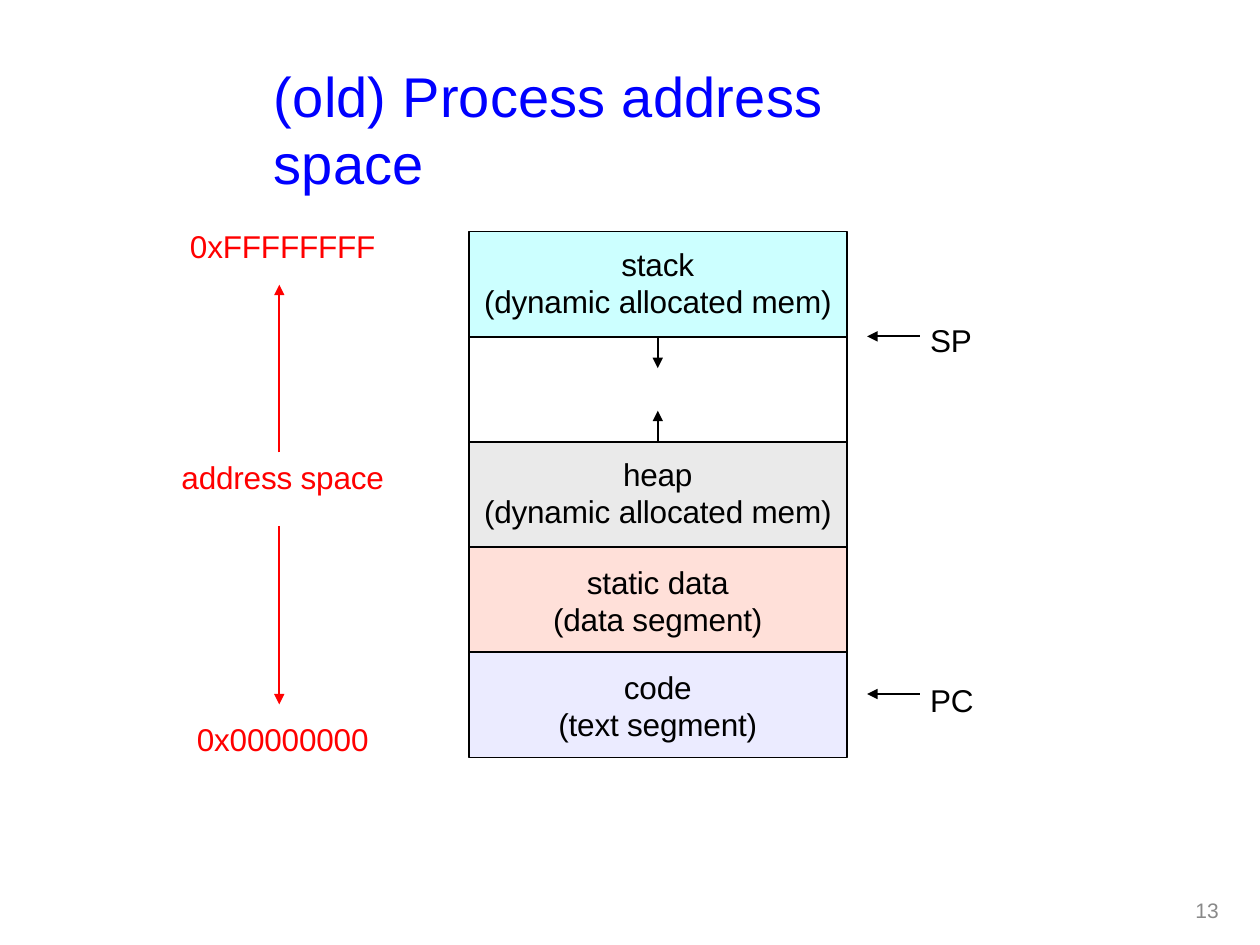
from lxml import etree
from pptx import Presentation
from pptx.dml.color import RGBColor
from pptx.enum.shapes import MSO_CONNECTOR, MSO_SHAPE
from pptx.enum.text import MSO_ANCHOR, MSO_AUTO_SIZE, PP_ALIGN
from pptx.oxml.ns import qn
from pptx.util import Cm, Pt

STRAIGHT = MSO_CONNECTOR.STRAIGHT
RECTANGLE = MSO_SHAPE.RECTANGLE
TOP = MSO_ANCHOR.TOP
NO_AUTOFIT = MSO_AUTO_SIZE.NONE
LEFT, CENTER = PP_ALIGN.LEFT, PP_ALIGN.CENTER

COLORS = {
    "title": "0000FF", "address": "FF0000", "ink": "000000", "number": "898989",
    "stack": "CCFFFF", "heap": "EAEAEA", "data": "FFE0D9", "code": "EBEBFF",
}
TITLE = "(old) Process address space"
SEGMENTS = [
    (["stack", "(dynamic allocated mem)"], "stack", 0.28),
    ([], None, 0),
    (["heap", "(dynamic allocated mem)"], "heap", 0.28),
    (["static data", "(data segment)"], "data", 0.33),
    (["code", "(text segment)"], "code", 0.33),
]
ADDRESS_LABELS = [
    ("0xFFFFFFFF", 4.55, 3.84),
    ("address space", 9.2, 4.2),
    ("0x00000000", 14.48, 3.56),
]
REGISTERS = [("SP", 6.78, 6.45), ("PC", 13.99, 13.7)]
PAGE_NUMBER = "13"

MEMORY_LEFT, MEMORY_TOP = 9.45, 4.67
MEMORY_WIDTH, SEGMENT_HEIGHT = 7.62, 2.12
MEMORY_CENTER = MEMORY_LEFT + MEMORY_WIDTH / 2
LABEL_CENTER, LABEL_HEIGHT = 5.7, 0.84
ADDRESS_X = 5.63
GROWTH_LENGTH = 0.63


def color(name):
    return RGBColor.from_string(COLORS[name])


def write(shape, lines, size=18, ink="ink", align=LEFT, spacing=-10,
          line_height=None, inset_left=0, inset_top=0.03, wrap=True):
    frame = shape.text_frame
    frame.auto_size = NO_AUTOFIT
    frame.word_wrap = wrap
    frame.vertical_anchor = TOP
    frame.margin_left, frame.margin_top = Cm(inset_left), Cm(inset_top)
    frame.margin_right = frame.margin_bottom = 0
    for index, line in enumerate(lines):
        paragraph = frame.add_paragraph() if index else frame.paragraphs[0]
        paragraph.alignment = align
        paragraph.space_before = Pt(0)
        if line_height:
            paragraph.line_spacing = Pt(line_height)
        run = paragraph.add_run()
        run.text = line
        run.font.name = "Arial"
        run.font.size = Pt(size)
        run.font.color.rgb = color(ink)
        run.font._element.set("spc", str(spacing))


def add_label(slide, text, left, top, width, height=LABEL_HEIGHT, **text_format):
    box = slide.shapes.add_textbox(Cm(left), Cm(top), Cm(width), Cm(height))
    write(box, [text], wrap=False, **text_format)


def add_segment(slide, lines, fill, top, inset):
    shape = slide.shapes.add_shape(
        RECTANGLE, Cm(MEMORY_LEFT), Cm(top), Cm(MEMORY_WIDTH), Cm(SEGMENT_HEIGHT))
    shape.shadow.inherit = False
    if fill:
        shape.fill.solid()
        shape.fill.fore_color.rgb = color(fill)
    else:
        shape.fill.background()
    shape.line.color.rgb = color("ink")
    shape.line.width = Pt(1)
    if lines:
        write(shape, lines, align=CENTER, line_height=21.2, inset_top=inset)


def add_arrow(slide, start, end, ink="ink"):
    arrow = slide.shapes.add_connector(
        STRAIGHT, *[Cm(length) for length in (*start, *end)])
    arrow.line.color.rgb = color(ink)
    arrow.line.width = Pt(1)
    etree.SubElement(arrow.line._get_or_add_ln(), qn("a:tailEnd"),
                     type="triangle", w="med", len="med")
    etree.SubElement(arrow._element.spPr, qn("a:effectLst"))


def main():
    presentation = Presentation()
    presentation.slide_width, presentation.slide_height = Cm(25.4), Cm(19.05)
    slide = presentation.slides.add_slide(presentation.slide_layouts[5])

    title = slide.shapes.title
    title.left, title.top = Cm(5.49), Cm(1.2)
    title.width, title.height = Cm(14.35), Cm(1.42)
    write(title, [TITLE], size=32, ink="title", spacing=10, inset_left=0.03)

    for text, top, width in ADDRESS_LABELS:
        add_label(slide, text, LABEL_CENTER - width / 2, top, width,
                  ink="address", align=CENTER)
    add_arrow(slide, (ADDRESS_X, 9.12), (ADDRESS_X, 5.74), "address")
    add_arrow(slide, (ADDRESS_X, 10.6), (ADDRESS_X, 14.2), "address")

    for row, (lines, fill, inset) in enumerate(SEGMENTS):
        add_segment(slide, lines, fill, MEMORY_TOP + row * SEGMENT_HEIGHT, inset)
    stack_end = MEMORY_TOP + SEGMENT_HEIGHT
    heap_start = stack_end + SEGMENT_HEIGHT
    for edge, growth in ((stack_end, GROWTH_LENGTH), (heap_start, -GROWTH_LENGTH)):
        add_arrow(slide, (MEMORY_CENTER, edge), (MEMORY_CENTER, edge + growth))

    for text, arrow_y, label_top in REGISTERS:
        add_arrow(slide, (18.54, arrow_y), (17.48, arrow_y))
        add_label(slide, text, 18.72, label_top, 0.95, inset_left=0.03)
    add_label(slide, PAGE_NUMBER, 23.85, 18.11, 0.84, height=0.53, size=12,
              ink="number", spacing=0, inset_left=0.25, inset_top=0, line_height=14.2)

    presentation.save("out.pptx")


if __name__ == "__main__":
    main()
